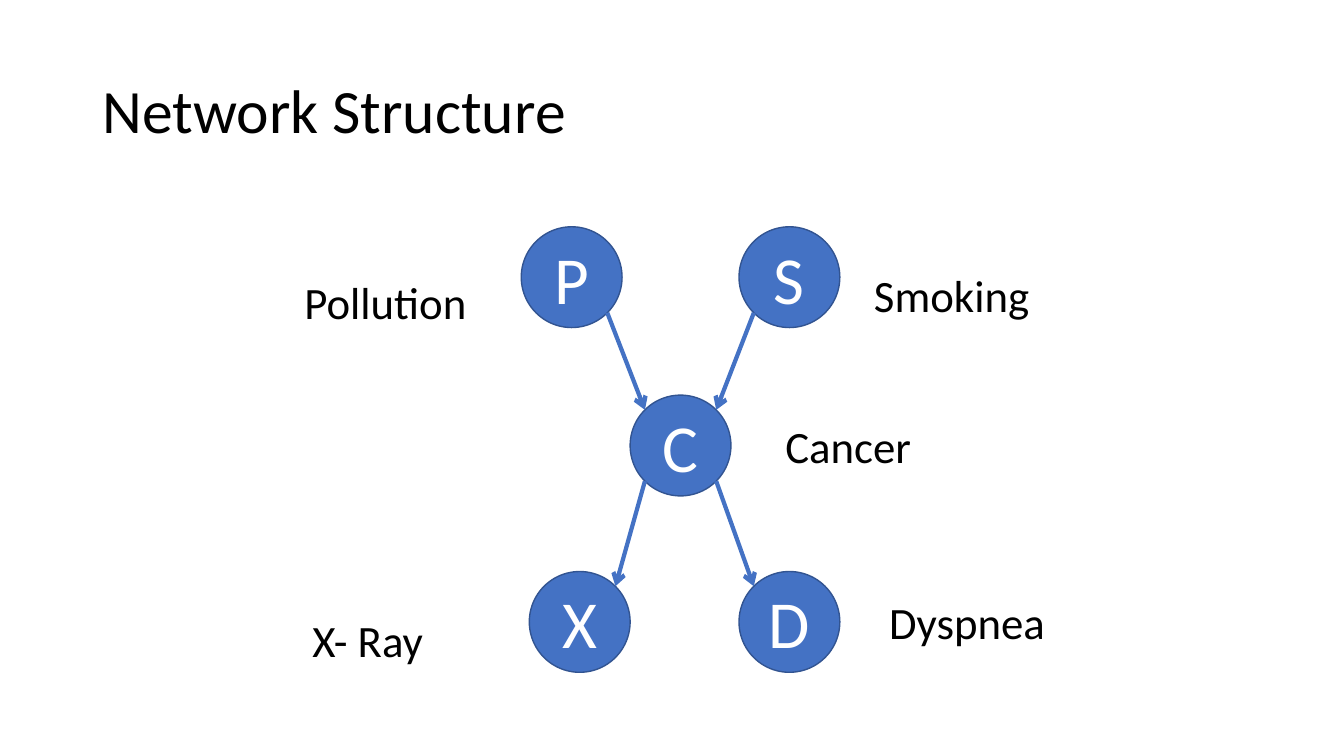
from math import sqrt
from lxml.etree import SubElement as Sub
from pptx import Presentation
from pptx.dml.color import RGBColor
from pptx.enum.shapes import MSO_CONNECTOR as Link, MSO_SHAPE as Shape
from pptx.enum.text import MSO_ANCHOR as Anchor, MSO_AUTO_SIZE as Fit, PP_ALIGN as Align
from pptx.oxml.ns import qn
from pptx.util import Inches, Pt

FONT, BLACK, WHITE, BLUE, EDGE = "Calibri", "000000", "FFFFFF", "4472C4", "325491"
SIZE = 1  # node diameter
TALL = 0.64  # label height

# letter: node left, top; label, its left, top, width (relative to the network box)
NODES = {
    "P": (2.25, 0, "Pollution", 0, 0.43, 1.83),
    "S": (4.41, 0, "Smoking", 5.65, 0.36, 1.76),
    "C": (3.33, 1.67, "Cancer", 4.77, 1.85, 1.46),
    "X": (2.33, 3.42, "X- Ray", 0.08, 3.78, 1.33),
    "D": (4.41, 3.42, "Dyspnea", 5.8, 3.6, 1.77),
}
ARCS = ["PC", "SC", "CX", "CD"]


def color(code):
    return RGBColor.from_string(code)


def write(frame, text, size, code, align=Align.LEFT):
    para = frame.paragraphs[0]
    para.text, para.alignment = text, align
    para.font.name, para.font.size = FONT, Pt(size)
    para.font.color.rgb = color(code)
    return para


def title(slide, left, top, width, height):
    box = slide.shapes.add_textbox(*map(Inches, (left, top, width, height)))
    frame = box.text_frame
    frame.word_wrap, frame.vertical_anchor = True, Anchor.MIDDLE
    write(frame, "Network Structure", 44, BLACK).line_spacing = 0.9


def node(slide, letter, left, top):
    disc = slide.shapes.add_shape(Shape.OVAL, *map(Inches, (left, top, SIZE, SIZE)))
    disc.shadow.inherit = False
    disc.fill.solid()
    disc.fill.fore_color.rgb = color(BLUE)
    disc.line.color.rgb, disc.line.width = color(EDGE), Pt(1)
    disc.text_frame.vertical_anchor = Anchor.MIDDLE
    write(disc.text_frame, letter, 48, WHITE, Align.CENTER)


def label(slide, text, left, top, width):
    box = slide.shapes.add_textbox(*map(Inches, (left, top, width, TALL)))
    box.text_frame.word_wrap = False
    box.text_frame.auto_size = Fit.SHAPE_TO_FIT_TEXT
    write(box.text_frame, text, 32, BLACK)


def arrow(slide, start, end):
    # Join the facing diagonal points of the two circles
    half = SIZE / 2
    reach = half / sqrt(2)
    side = reach if end[0] > start[0] else -reach
    ends = (start[0] + half + side, start[1] + half + reach,
            end[0] + half - side, end[1] + half - reach)
    line = slide.shapes.add_connector(Link.STRAIGHT, *map(Inches, ends))
    line.line.color.rgb, line.line.width = color(BLUE), Pt(3)
    Sub(line.line._get_or_add_ln(), qn("a:tailEnd"), type="arrow")
    Sub(line._element.spPr, qn("a:effectLst"))


def network(slide, left, top):
    spots = {key: (left + row[0], top + row[1]) for key, row in NODES.items()}
    # Circles
    for key, spot in spots.items():
        node(slide, key, *spot)
    # Names
    for *_, text, x, y, width in NODES.values():
        label(slide, text, left + x, top + y, width)
    # Arrows
    for start, end in ARCS:
        arrow(slide, spots[start], spots[end])


deck = Presentation()
deck.slide_width, deck.slide_height = Inches(13.33), Inches(7.5)
page = deck.slides.add_slide(deck.slide_layouts[6])
title(page, 0.92, 0.4, 11.5, 1.45)
network(page, 2.92, 2.25)
deck.save("out.pptx")
